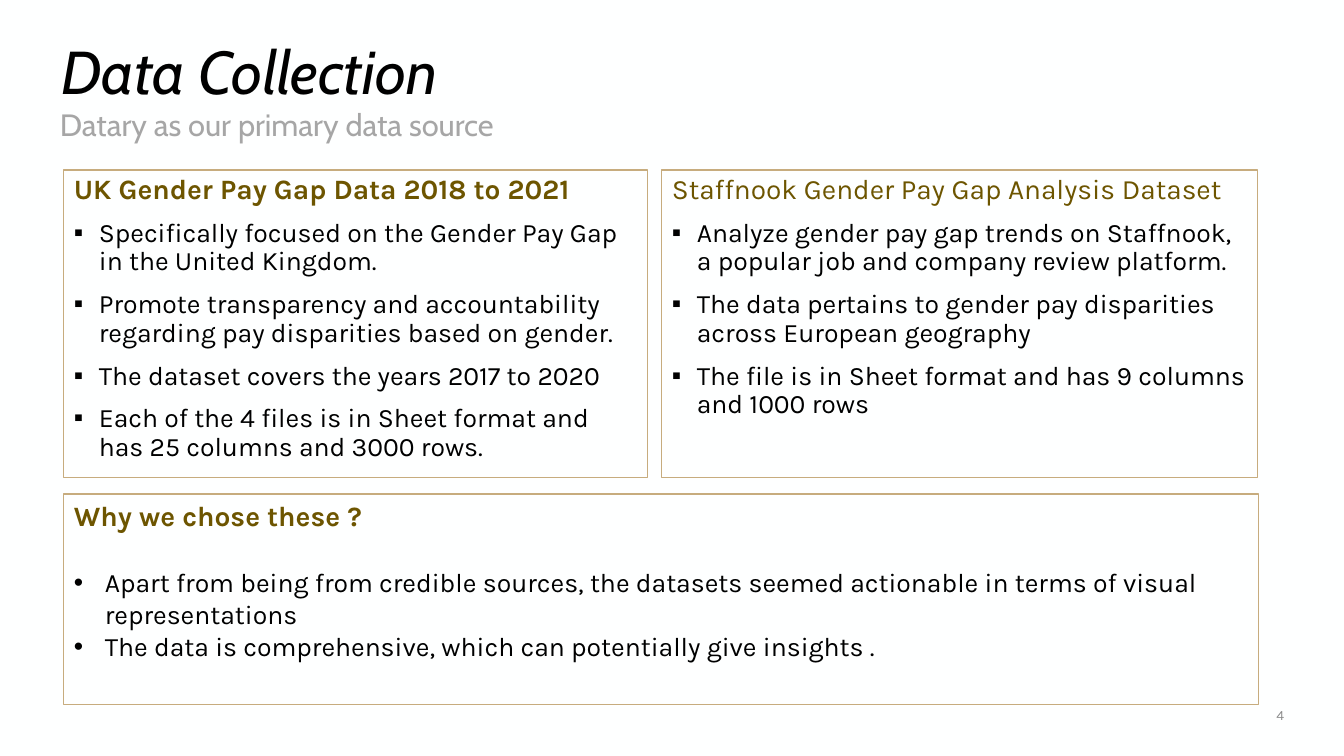
from lxml import etree
from pptx import Presentation
from pptx import util as u
from pptx.dml.color import RGBColor
from pptx.enum import shapes, text
from pptx.oxml.ns import qn

EMU_PER_PX = 914400 / 100.8
BLACK, OLIVE, GOLD, GREY, PALE_GREY = "000000", "6D5500", "C7AC7E", "A6A6A6", "8C8C8C"

UK_POINTS = [
    "Specifically focused on the Gender Pay Gap in the United Kingdom.",
    "Promote transparency and accountability regarding pay disparities based on gender.",
    "The dataset covers the years 2017 to 2020",
    "Each of the 4 files is in Sheet format and has 25 columns and 3000 rows.",
]
PLATFORM_POINTS = [
    "Analyze gender pay gap trends on Staffnook, a popular job and company review platform.",
    "The data pertains to gender pay disparities across European geography",
    "The file is in Sheet format and has 9 columns and 1000 rows",
]
REASONS = [
    "Apart from being from credible sources, the datasets seemed actionable "
    "in terms of visual representations",
    "The data is comprehensive, which can potentially give insights .",
]


def px(length):
    return u.Emu(round(length * EMU_PER_PX))


def color(hex_string):
    return RGBColor.from_string(hex_string)


def place(shape, left, top, width, height):
    shape.left, shape.top = px(left), px(top)
    shape.width, shape.height = px(width), px(height)


def style(paragraph, size, hex_color, font="Karla", bold=False, italic=False,
          line_spacing=1.0, before=0):
    paragraph.line_spacing = line_spacing
    paragraph.space_before = u.Pt(before)
    paragraph.font.size = u.Pt(size)
    paragraph.font.name = font
    paragraph.font.bold = bold
    paragraph.font.italic = italic
    paragraph.font.color.rgb = color(hex_color)


def add_bullet(paragraph, symbol, indent):
    """Give the paragraph a bullet with a hanging indent in px."""
    properties = paragraph._p.get_or_add_pPr()
    properties.set("marL", str(px(indent)))
    properties.set("indent", str(-px(indent)))
    etree.SubElement(properties, qn("a:buFont"), typeface="Arial")
    etree.SubElement(properties, qn("a:buChar"), char=symbol)


def add_title(slide, wording):
    title = slide.shapes.title
    place(title, 51, 42, 1242, 65)
    frame = title.text_frame
    frame.text = wording
    frame.auto_size = text.MSO_AUTO_SIZE.NONE
    frame.vertical_anchor = text.MSO_ANCHOR.MIDDLE
    paragraph = frame.paragraphs[0]
    paragraph.alignment = text.PP_ALIGN.LEFT
    style(paragraph, 43.2, BLACK, "Cabin", italic=True, line_spacing=0.9)


def add_label(slide, wording, box, size, hex_color, font,
              alignment=text.PP_ALIGN.LEFT, anchor=text.MSO_ANCHOR.TOP, line_spacing=1.0):
    frame = slide.shapes.add_textbox(*map(px, box)).text_frame
    frame.word_wrap = True
    frame.vertical_anchor = anchor
    paragraph = frame.paragraphs[0]
    paragraph.text = wording
    paragraph.alignment = alignment
    style(paragraph, size, hex_color, font, line_spacing=line_spacing)


def add_panel(slide, box, heading, points, bold=True, symbol="▪", indent=25,
              line_spacing=0.9, before=10, heading_gap=0):
    """Add an outlined box with a heading and bulleted points."""
    panel = slide.shapes.add_shape(shapes.MSO_SHAPE.RECTANGLE, *map(px, box))
    panel.shadow.inherit = False
    panel.fill.background()
    panel.line.color.rgb = color(GOLD)
    panel.line.width = u.Pt(0.75)
    frame = panel.text_frame
    frame.word_wrap = True
    frame.vertical_anchor = text.MSO_ANCHOR.TOP
    title = frame.paragraphs[0]
    title.text = heading
    title.alignment = text.PP_ALIGN.LEFT
    title.space_after = u.Pt(heading_gap)
    style(title, 20, OLIVE, bold=bold, line_spacing=line_spacing)
    for point in points:
        paragraph = frame.add_paragraph()
        paragraph.text = point
        paragraph.alignment = text.PP_ALIGN.LEFT
        paragraph.line_spacing = line_spacing
        paragraph.space_before = u.Pt(before)
        add_bullet(paragraph, symbol, indent)
        style(paragraph, 19, BLACK, line_spacing=line_spacing, before=before)


def main():
    presentation = Presentation()
    presentation.slide_width, presentation.slide_height = px(1344), px(756)
    slide = presentation.slides.add_slide(presentation.slide_layouts[5])
    slide.background.fill.solid()
    slide.background.fill.fore_color.rgb = color("FEFFFF")

    add_title(slide, "Data Collection")
    add_panel(slide, (64, 170, 584, 308), "UK Gender Pay Gap Data 2018 to 2021", UK_POINTS)
    add_panel(slide, (662, 170, 596, 308), "Staffnook Gender Pay Gap Analysis Dataset",
              PLATFORM_POINTS, bold=False)
    add_label(slide, "Datary as our primary data source", (50, 105, 1243, 40),
              22, GREY, "Cabin", line_spacing=0.9)
    add_label(slide, "4", (1193, 697, 101, 35), 10, PALE_GREY, "Karla",
              text.PP_ALIGN.RIGHT, text.MSO_ANCHOR.MIDDLE)
    add_panel(slide, (64, 494, 1195, 211), "Why we chose these ?", REASONS,
              symbol="•", indent=31, line_spacing=1.0, before=0, heading_gap=24)
    presentation.save("out.pptx")


if __name__ == "__main__":
    main()
